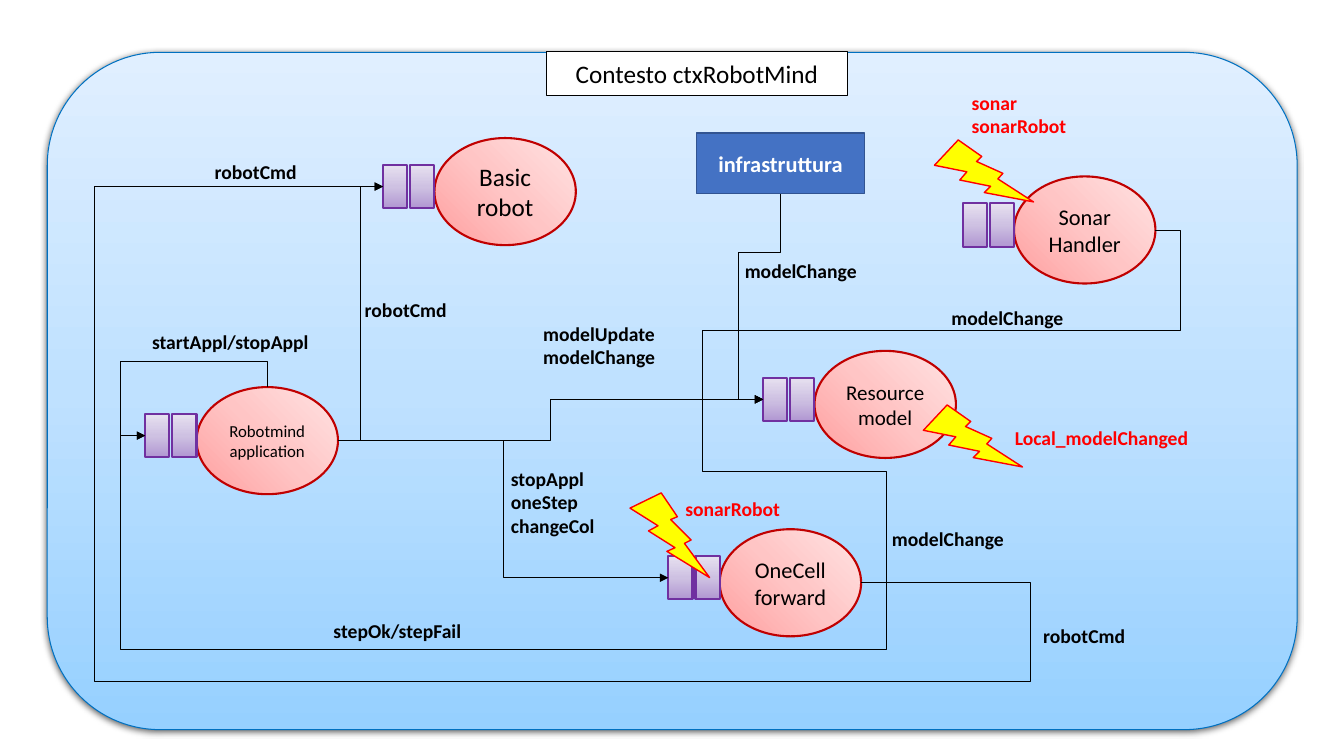
"""Build the ctxRobotMind context diagram slide."""
import pptx
import pptx.util
import pptx.dml.color
import pptx.enum.shapes
import pptx.enum.text
import pptx.oxml
import pptx.oxml.ns
from lxml import etree

Pt = pptx.util.Pt
SHAPE = pptx.enum.shapes.MSO_SHAPE

THEME = {
    "font": "Calibri",
    "black": "000000", "white": "FFFFFF", "red": "FF0000", "yellow": "FFFF00",
    "blue": "4472C4", "blue_edge": "325491", "panel_edge": "0070C0",
    "actor_edge": "C00000", "queue_edge": "7030A0",
    "panel": ("96D0FF", "BFE1FF", "E0EFFF"),
    "actor": ("FFA0A0", "FFC5C5", "FFE3E3"),
    "queue": ("B197D2", "CEC1E2", "E7E1F0"),
    "title_size": 18, "box_size": 16, "label_size": 14,
}

PANEL = (33.8, 37.4, 892.8, 483.8)
TITLE = ("Contesto ctxRobotMind", (390.2, 36.7, 215.3, 31.7))
INFRA = ("infrastruttura", (497.5, 95, 120.2, 43.2))

ACTORS = {
    "robot": ("Basic robot", 310.3, 98.6, 18),
    "resource": ("Resource model", 581.8, 250.6, 15),
    "onecell": ("OneCell forward", 514.1, 378, 16),
    "sonar": ("Sonar\nHandler", 724.3, 126, 16),
    "app": ("Robotmind\napplication", 140.4, 276.5, 12),
}
ACTOR_W, ACTOR_H = 101, 76.5
QUEUE_W, QUEUE_H, QUEUE_STEP, QUEUE_DROP = 17.3, 31, 19.4, 19.2

ROUTES = [
    ("app", "right", "robot", [257.2]),
    ("infra", "bottom", "resource", [180.2, 527.2]),
    ("app", "right", "resource", [393.2]),
    ("app", "right", "onecell", [359.4]),
    ("app", "top", "app", [258.5, 85.8]),
    ("onecell", "right", "app", [633, 463.6, 85.8]),
    ("sonar", "right", "resource", [843.2, 236, 502]),
    ("onecell", "right", "resource", [633, 337, 502]),
    ("onecell", "right", "robot", [736, 486.8, 67.8]),
]

BOLTS = [(664.6, 285.1, -20.8), (672.5, 95.8, -20.8), (450, 352.1, 0)]
BOLT_W, BOLT_H = 56.9, 60.5

LABELS = [
    ("robotCmd", 253.4, 209.5, "black"),
    ("modelUpdate\nmodelChange", 380.9, 226.1, "black"),
    ("Local_modelChanged", 717.8, 301, "red"),
    ("modelChange", 524.9, 181.4, "black"),
    ("stopAppl\noneStep\nchangeCol", 357.8, 329.8, "black"),
    ("startAppl/stopAppl", 101.5, 231.8, "black"),
    ("stepOk/stepFail", 231.1, 438.5, "black"),
    ("sonar\nsonarRobot", 686.9, 61.2, "red"),
    ("modelChange", 672.5, 215.3, "black"),
    ("modelChange", 630, 373, "black"),
    ("robotCmd", 146.2, 110.9, "black"),
    ("robotCmd", 738, 442.1, "black"),
    ("sonarRobot", 482.4, 351.4, "red"),
]
LABEL_W, LABEL_H, LABEL_LINE = 140.4, 24.5, 16.8


def rgb(name):
    return pptx.dml.color.RGBColor.from_string(THEME[name])


def lengths(values):
    return [Pt(v) for v in values]


def write(tf, text, size, color="black", bold=False, align=None):
    tf.word_wrap = True
    for i, line in enumerate(text.split("\n")):
        p = tf.add_paragraph() if i else tf.paragraphs[0]
        p.alignment = align
        r = p.add_run()
        r.text = line
        r.font.name, r.font.size, r.font.bold = THEME["font"], Pt(size), bold
        r.font.color.rgb = rgb(color)


def child(parent, tag, **attrs):
    el = etree.SubElement(parent, pptx.oxml.ns.qn("a:" + tag))
    for key, value in attrs.items():
        el.set(key, str(value))
    return el


def gradient(sp, colors, radial):
    sp.fill.gradient()
    grad = sp.element.spPr.find(pptx.oxml.ns.qn("a:gradFill"))
    for el in list(grad):
        grad.remove(el)
    stops = child(grad, "gsLst")
    for i, color in enumerate(colors):
        child(child(stops, "gs", pos=i * 50000), "srgbClr", val=color)
    if radial:
        child(child(grad, "path", path="circle"), "fillToRect", t=100000, r=100000)
    else:
        child(grad, "lin", ang=16200000, scaled=0)


def shape(kind, box, fill, edge, width, text="", radial=False, **fmt):
    sp = s.shapes.add_shape(kind, *lengths(box))
    if isinstance(THEME[fill], tuple):
        gradient(sp, THEME[fill], radial)
    else:
        sp.fill.solid()
        sp.fill.fore_color.rgb = rgb(fill)
    sp.line.color.rgb, sp.line.width = rgb(edge), Pt(width)
    sp.shadow.inherit = False
    if text:
        sp.text_frame.vertical_anchor = pptx.enum.text.MSO_ANCHOR.MIDDLE
        write(sp.text_frame, text, align=pptx.enum.text.PP_ALIGN.CENTER, **fmt)
    return sp


def actor(text, x, y, size):
    shape(SHAPE.OVAL, (x, y, ACTOR_W, ACTOR_H), "actor", "actor_edge", 1.5,
          text, radial=True, size=size)
    for left in (x - QUEUE_W, x - QUEUE_W - QUEUE_STEP):
        shape(SHAPE.RECTANGLE, (left, y + QUEUE_DROP, QUEUE_W, QUEUE_H),
              "queue", "queue_edge", 1.5)


def port(name, side):
    if name == "infra":
        x, y, w, h = INFRA[1]
    else:
        x, y = ACTORS[name][1:3]
        w, h = ACTOR_W, ACTOR_H
    return {
        "right": (x + w, y + h / 2),
        "top": (x + w / 2, y),
        "bottom": (x + w / 2, y + h),
        "queue": (x - QUEUE_W - QUEUE_STEP, y + QUEUE_DROP + QUEUE_H / 2),
    }[side]


def route(source, side, target, turns):
    a, b = port(source, side), port(target, "queue")
    first = 0 if side == "right" else 1
    axes = [(first + i) % 2 for i in range(len(turns))]
    adjusts = [(t - a[k]) / (b[k] - a[k]) for t, k in zip(turns, axes)]
    if first:
        cx, cy = (a[0] + b[0]) / 2, (a[1] + b[1]) / 2
        a, b = [(cx + y - cy, cy - x + cx) for x, y in (a, b)]
    c = s.shapes.add_connector(pptx.enum.shapes.MSO_CONNECTOR.ELBOW, *lengths(a + b))
    c.line.color.rgb, c.line.width = rgb("black"), Pt(0.5)
    spPr = c.element.spPr
    if first:
        spPr.find(pptx.oxml.ns.qn("a:xfrm")).set("rot", "5400000")
    geom = spPr.find(pptx.oxml.ns.qn("a:prstGeom"))
    geom.set("prst", f"bentConnector{len(turns) + 2}")
    for el in list(geom):
        geom.remove(el)
    guides = child(geom, "avLst")
    for i, value in enumerate(adjusts, 1):
        child(guides, "gd", name=f"adj{i}", fmla=f"val {round(value * 100000)}")
    child(spPr.find(pptx.oxml.ns.qn("a:ln")), "tailEnd", type="triangle")
    child(spPr, "effectLst")


def label(text, x, y, color):
    h = LABEL_H + LABEL_LINE * text.count("\n")
    tb = s.shapes.add_textbox(*lengths((x, y, LABEL_W, h)))
    write(tb.text_frame, text, THEME["label_size"], color=color, bold=True)
    tb.text_frame.auto_size = pptx.enum.text.MSO_AUTO_SIZE.SHAPE_TO_FIT_TEXT


prs = pptx.Presentation()
prs.slide_width, prs.slide_height = Pt(960), Pt(540)
s = prs.slides.add_slide(prs.slide_layouts[6])

panel = shape(SHAPE.ROUNDED_RECTANGLE, PANEL, "panel", "panel_edge", 0.75)
effects = panel.element.spPr.find(pptx.oxml.ns.qn("a:effectLst"))
shadow = child(effects, "outerShdw", blurRad=Pt(4.5), dist=Pt(1.5), dir=5400000,
               algn="ctr", rotWithShape=0)
child(child(shadow, "srgbClr", val=THEME["black"]), "alpha", val=63000)

shape(SHAPE.RECTANGLE, TITLE[1], "white", "black", 1, TITLE[0], size=THEME["title_size"])
for item in ACTORS.values():
    actor(*item)
for item in ROUTES:
    route(*item)
shape(SHAPE.RECTANGLE, INFRA[1], "blue", "blue_edge", 1, INFRA[0],
      size=THEME["box_size"], color="white", bold=True)
for x, y, angle in BOLTS:
    sp = shape(SHAPE.LIGHTNING_BOLT, (x, y, BOLT_W, BOLT_H), "yellow", "red", 1)
    sp.rotation = angle
for item in LABELS:
    label(*item)

prs.save("out.pptx")
